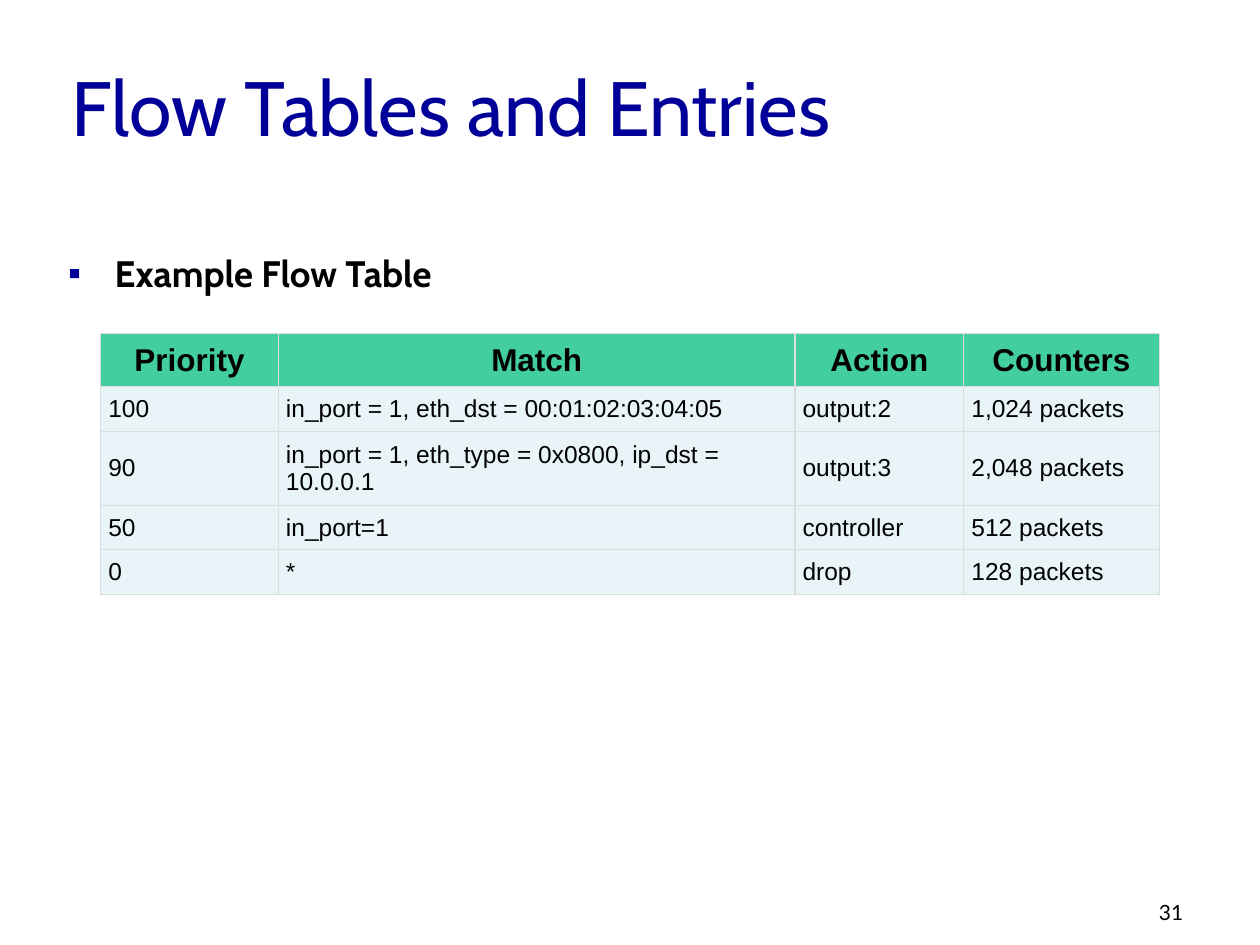
from lxml import etree
from pptx import Presentation, util as u
from pptx.dml.color import RGBColor
from pptx.enum import text
from pptx.oxml import ns

NAVY = RGBColor(0x00, 0x00, 0x99)
BLACK = RGBColor(0x00, 0x00, 0x00)
GREEN = RGBColor(0x43, 0xCE, 0xA2)
PALE = RGBColor(0xE8, 0xF4, 0xF8)
GREY = RGBColor(0xDD, 0xDD, 0xDD)
MIDDLE = text.MSO_ANCHOR.MIDDLE
SIDES = ("left", "top", "right", "bottom")

deck = Presentation()
deck.slide_width, deck.slide_height = u.Inches(10), u.Inches(7.5)
page = deck.slides.add_slide(deck.slide_layouts[6])
COLUMN = deck.slide_width / 100
ROW = deck.slide_height / 75


def write(para, words, color, **formats):
    span = para.add_run()
    span.text = words
    span.font.color.rgb = color
    for name, value in formats.items():
        setattr(span.font, name, value)


def add_box(left, top, width, height, **formats):
    box = page.shapes.add_textbox(
        int(left * COLUMN), int(top * ROW), int(width * COLUMN), int(height * ROW))
    for name, value in {"word_wrap": True, **formats}.items():
        setattr(box.text_frame, name, value)
    return box.text_frame.paragraphs[0]


title = add_box(4.7, 4.5, 90, 7.8, vertical_anchor=MIDDLE)
write(title, "Flow Tables and Entries", NAVY, size=u.Pt(44), name="Cabin")

insets = dict(zip((f"margin_{side}" for side in SIDES),
                  (u.Inches(inset) for inset in (0.07, 0.04, 0.07, 0.04))))
heading = add_box(4.7, 20, 86.5, 5.3, **insets)
spacing = {"line_spacing": 0.85, "space_before": u.Pt(14.1), "space_after": u.Pt(5.6)}
for name, value in spacing.items():
    setattr(heading, name, value)
write(heading, "Example Flow Table", BLACK, size=u.Pt(21), name="Cabin", bold=True)
layout = heading._p.get_or_add_pPr()
layout.set("marL", str(u.Inches(0.37)))
layout.set("indent", str(-u.Inches(0.37)))
bullet_color = etree.SubElement(layout, ns.qn("a:buClr"))
etree.SubElement(bullet_color, ns.qn("a:srgbClr"), val=str(NAVY))
etree.SubElement(layout, ns.qn("a:buFont"), typeface="Arial")
etree.SubElement(layout, ns.qn("a:buChar"), char="▪")

number = add_box(91, 70.9, 7.4, 3)
write(number, "31", BLACK, size=u.Pt(12), name="Lato")

entries = [
    ("Priority", "Match", "Action", "Counters"),
    ("100", "in_port = 1, eth_dst = 00:01:02:03:04:05", "output:2", "1,024 packets"),
    ("90", "in_port = 1, eth_type = 0x0800, ip_dst = 10.0.0.1", "output:3", "2,048 packets"),
    ("50", "in_port=1", "controller", "512 packets"),
    ("0", "*", "drop", "128 packets"),
]
widths = (14.1, 41, 13.4, 15.5)
heights = (4.2,) + (3.5,) * 4
table = page.shapes.add_table(
    len(entries), len(widths), int(8 * COLUMN), int(26.5 * ROW),
    int(sum(widths) * COLUMN), int(sum(heights) * ROW)).table
for column, width in zip(table.columns, widths):
    column.width = int(width * COLUMN)

cell_formats = {f"margin_{side}": u.Inches(0.06) for side in SIDES}
cell_formats["vertical_anchor"] = MIDDLE
for row, (height, entry) in enumerate(zip(heights, entries)):
    table.rows[row].height = int(height * ROW)
    header = row == 0
    for column, words in enumerate(entry):
        cell = table.cell(row, column)
        for name, value in cell_formats.items():
            setattr(cell, name, value)
        for edge in ("lnL", "lnR", "lnT", "lnB"):
            line = etree.SubElement(
                cell._tc.get_or_add_tcPr(), ns.qn(f"a:{edge}"), w=str(u.Pt(0.75)))
            paint = etree.SubElement(line, ns.qn("a:solidFill"))
            etree.SubElement(paint, ns.qn("a:srgbClr"), val=str(GREY))
        cell.fill.solid()
        cell.fill.fore_color.rgb = GREEN if header else PALE
        para = cell.text_frame.paragraphs[0]
        para.alignment = text.PP_ALIGN.CENTER if header else text.PP_ALIGN.LEFT
        write(para, words, BLACK, size=u.Pt(18 if header else 14), name="Arial", bold=header)

deck.save("out.pptx")
